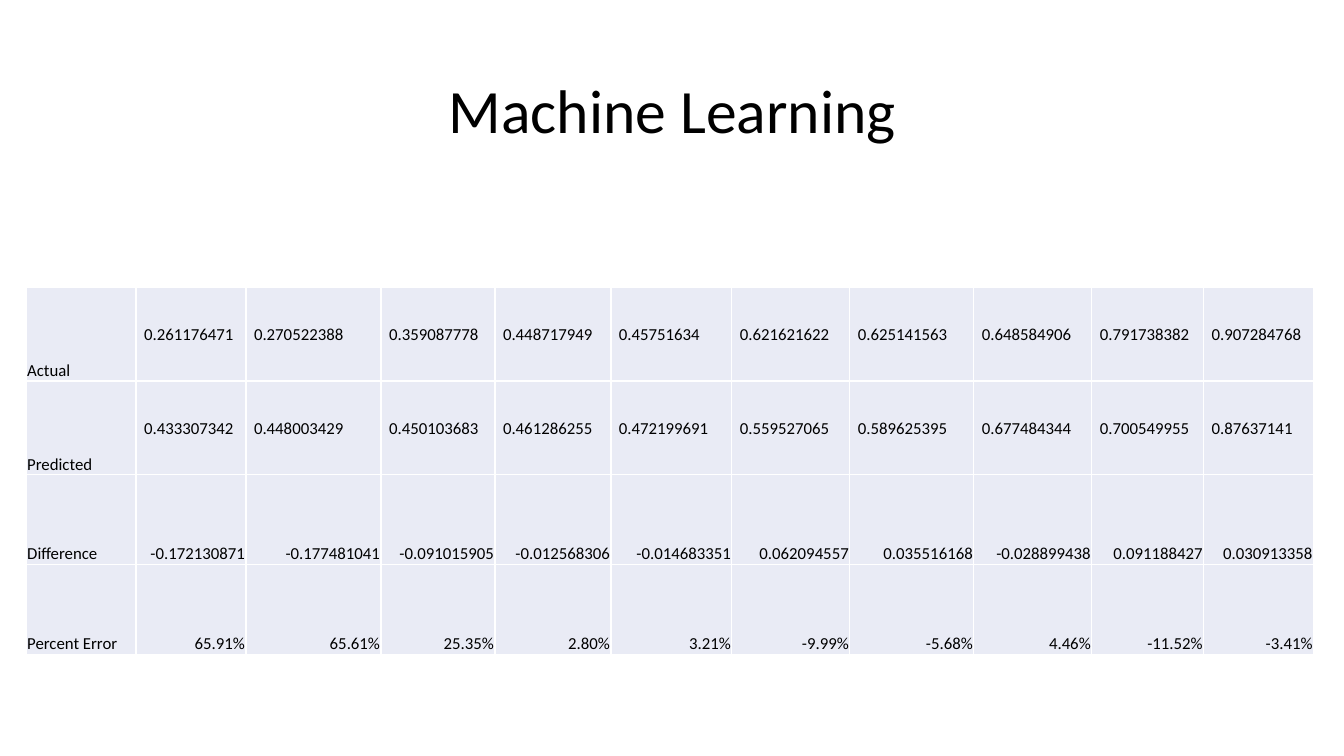
from dataclasses import dataclass

from lxml.etree import SubElement
from pptx import Presentation
from pptx.dml.color import RGBColor
from pptx.enum.text import MSO_ANCHOR, PP_ALIGN
from pptx.oxml.ns import qn
from pptx.util import Inches, Pt


@dataclass(frozen=True)
class Theme:
    font: str = "Calibri"
    text: str = "000000"
    cell: str = "E9EBF5"
    border: str = "FFFFFF"
    title_size: int = 44
    table_size: int = 12
    border_width: int = 1


theme = Theme()

ROWS = [
    ("Actual", "0.261176471", "0.270522388", "0.359087778", "0.448717949", "0.45751634",
     "0.621621622", "0.625141563", "0.648584906", "0.791738382", "0.907284768"),
    ("Predicted", "0.433307342", "0.448003429", "0.450103683", "0.461286255", "0.472199691",
     "0.559527065", "0.589625395", "0.677484344", "0.700549955", "0.87637141"),
    ("Difference", "-0.172130871", "-0.177481041", "-0.091015905", "-0.012568306", "-0.014683351",
     "0.062094557", "0.035516168", "-0.028899438", "0.091188427", "0.030913358"),
    ("Percent Error", "65.91%", "65.61%", "25.35%", "2.80%", "3.21%",
     "-9.99%", "-5.68%", "4.46%", "-11.52%", "-3.41%"),
]
COLUMN_WIDTHS = [1.09, 1.09, 1.34, 1.13, 1.15, 1.2, 1.17, 1.23, 1.17, 1.11, 1.09]
ROW_HEIGHTS = [0.93, 0.93, 0.89, 0.89]
MEASURED_ROWS = ("Actual", "Predicted")


def add_run(paragraph, text, size):
    run = paragraph.add_run()
    run.text = text
    run.font.name = theme.font
    run.font.size = Pt(size)
    run.font.color.rgb = RGBColor.from_string(theme.text)


def add_borders(cell):
    properties = cell._tc.get_or_add_tcPr()
    for side in ("a:lnL", "a:lnR", "a:lnT", "a:lnB"):
        line = SubElement(properties, qn(side), w=str(Pt(theme.border_width)))
        fill = SubElement(line, qn("a:solidFill"))
        SubElement(fill, qn("a:srgbClr"), val=theme.border)


presentation = Presentation()
presentation.slide_width = Inches(13.33)
presentation.slide_height = Inches(7.5)
slide = presentation.slides.add_slide(presentation.slide_layouts[6])

# Title
title = slide.shapes.add_textbox(Inches(0.92), Inches(0.4), Inches(11.5), Inches(1.45))
title.text_frame.word_wrap = True
title.text_frame.vertical_anchor = MSO_ANCHOR.MIDDLE
paragraph = title.text_frame.paragraphs[0]
paragraph.alignment = PP_ALIGN.CENTER
paragraph.line_spacing = 0.9
add_run(paragraph, "Machine Learning", theme.title_size)

# Table grid
table = slide.shapes.add_table(
    len(ROWS), len(COLUMN_WIDTHS), Inches(0.26), Inches(2.85),
    Inches(sum(COLUMN_WIDTHS)), Inches(sum(ROW_HEIGHTS)),
).table
table.first_row = False
table.horz_banding = False
for column, width in zip(table.columns, COLUMN_WIDTHS):
    column.width = Inches(width)
for row, height in zip(table.rows, ROW_HEIGHTS):
    row.height = Inches(height)

# Table cells: labels at the bottom left, measured values centred, results at the bottom right
for row, values in zip(table.rows, ROWS):
    for index, (cell, value) in enumerate(zip(row.cells, values)):
        is_label = index == 0
        is_measured = not is_label and values[0] in MEASURED_ROWS
        add_borders(cell)
        cell.fill.solid()
        cell.fill.fore_color.rgb = RGBColor.from_string(theme.cell)
        cell.margin_left = Inches(0.08 if is_measured else 0.01)
        cell.margin_top = cell.margin_right = Inches(0.01)
        cell.margin_bottom = Inches(0)
        cell.vertical_anchor = MSO_ANCHOR.MIDDLE if is_measured else MSO_ANCHOR.BOTTOM
        paragraph = cell.text_frame.paragraphs[0]
        paragraph.alignment = PP_ALIGN.LEFT if is_label or is_measured else PP_ALIGN.RIGHT
        add_run(paragraph, value, theme.table_size)

presentation.save("out.pptx")
